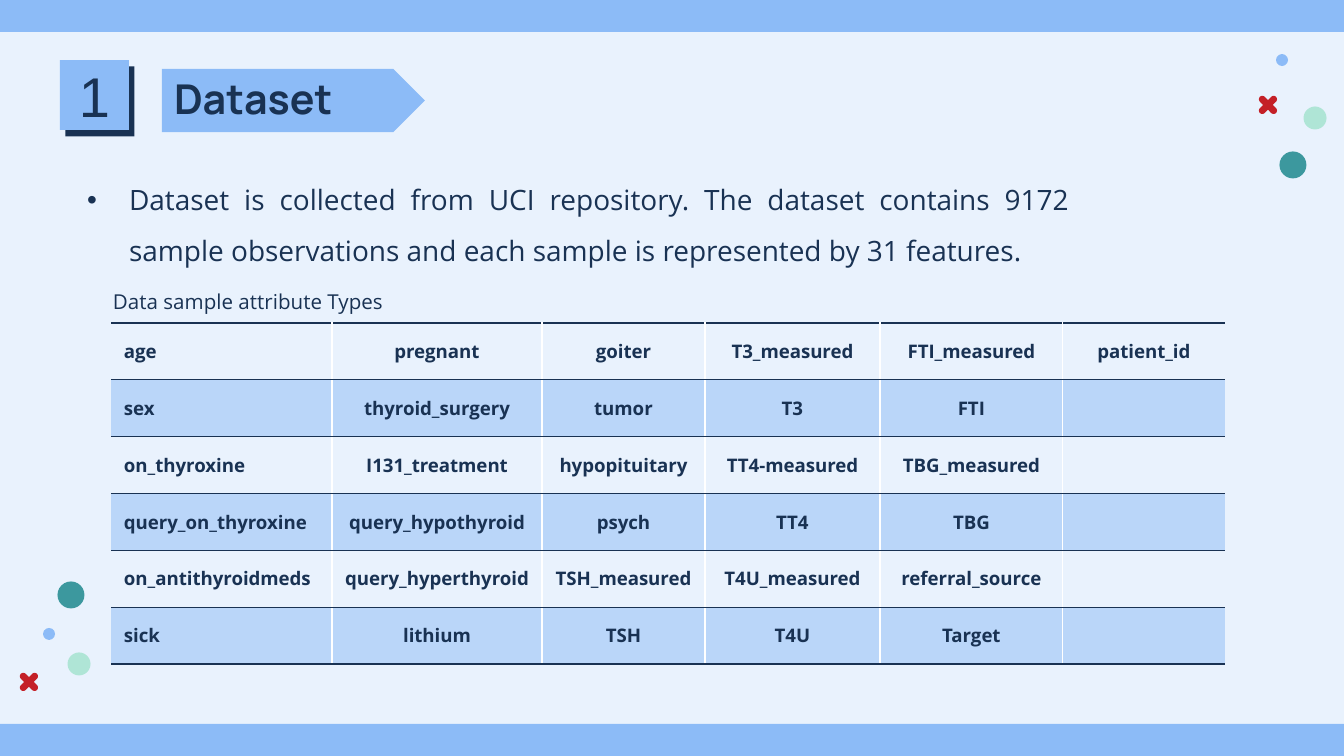
"""Builds the slide on the thyroid dataset and its attribute table."""
import math

import pptx
import pptx.dml.color
import pptx.enum.shapes
import pptx.enum.text
import pptx.oxml
import pptx.oxml.ns
import pptx.util

RGBColor = pptx.dml.color.RGBColor
NAVY = RGBColor(0x19, 0x32, 0x53)
BLUE = RGBColor(0x8C, 0xBB, 0xF7)
PALE = RGBColor(0xE9, 0xF2, 0xFD)
MINT = RGBColor(0xAF, 0xE5, 0xD6)
TEAL = RGBColor(0x3C, 0x98, 0x9E)
RED = RGBColor(0xC4, 0x20, 0x27)
WHITE = RGBColor(0xFF, 0xFF, 0xFF)

SHAPE = pptx.enum.shapes.MSO_SHAPE
ALIGN = pptx.enum.text.PP_ALIGN
ANCHOR = pptx.enum.text.MSO_ANCHOR
NAMESPACE = pptx.oxml.ns.nsdecls("a")

EMU_PER_PX = 914400 / 134.4
WIDTH, HEIGHT, BAND = 1344, 756, 32
INSET = 13

DOTS = [
    (1315, 118, 23, MINT), (1282, 60, 12, BLUE), (1293, 165, 27, TEAL),
    (79, 664, 23, MINT), (49, 634, 12, BLUE), (71, 595, 27, TEAL),
]
CROSSES = [(1268, 105), (29, 682)]
COLUMN_WIDTHS = [221, 210, 163, 175, 183, 162]
ATTRIBUTES = [
    ["age", "pregnant", "goiter", "T3_measured", "FTI_measured", "patient_id"],
    ["sex", "thyroid_surgery", "tumor", "T3", "FTI", ""],
    ["on_thyroxine", "I131_treatment", "hypopituitary", "TT4-measured", "TBG_measured", ""],
    ["query_on_thyroxine", "query_hypothyroid", "psych", "TT4", "TBG", ""],
    ["on_antithyroidmeds", "query_hyperthyroid", "TSH_measured", "T4U_measured",
     "referral_source", ""],
    ["sick", "lithium", "TSH", "T4U", "Target", ""],
]


def px(length):
    """Turn a length in px into EMU."""
    return pptx.util.Emu(round(length * EMU_PER_PX))


def place(shape, left, top, width, height):
    """Move and size a shape."""
    shape.left, shape.top = px(left), px(top)
    shape.width, shape.height = px(width), px(height)


def write(frame, text, size, font="Open Sans", bold=False, align=ALIGN.LEFT,
          anchor=ANCHOR.TOP, inset=INSET, spacing=1.0):
    """Fill a text frame with one formatted paragraph and return it."""
    frame.word_wrap = True
    frame.auto_size = pptx.enum.text.MSO_AUTO_SIZE.NONE
    frame.vertical_anchor = anchor
    frame.margin_left = frame.margin_right = px(inset)
    frame.margin_top = frame.margin_bottom = px(inset)
    paragraph = frame.paragraphs[0]
    style_paragraph(paragraph, text, size, font, bold, align)
    paragraph.line_spacing = spacing
    paragraph.space_before = pptx.util.Pt(0)
    return paragraph


def style_paragraph(paragraph, text, size, font, bold, align):
    """Put one run of formatted text into a paragraph."""
    paragraph.alignment = align
    run = paragraph.add_run()
    run.text = text
    run.font.size = pptx.util.Pt(size)
    run.font.name = font
    run.font.bold = bold
    run.font.color.rgb = NAVY


def paint(shape, color):
    """Give a shape a plain fill without line or shadow."""
    shape.shadow.inherit = False
    shape.fill.solid()
    shape.fill.fore_color.rgb = color
    shape.line.fill.background()
    return shape


def add_block(slide, kind, left, top, width, height, color):
    """Add a plain preset shape."""
    shape = slide.shapes.add_shape(kind, px(left), px(top), px(width), px(height))
    return paint(shape, color)


def add_cross(slide, center_x, center_y, reach=8, radius=3.4):
    """Add a diagonal cross with rounded arms."""
    points = []
    for arm in range(45, 360, 90):
        tip = math.radians(arm)
        for step in range(-90, 91, 15):
            turn = math.radians(arm + step)
            points.append((reach * math.cos(tip) + radius * math.cos(turn),
                           reach * math.sin(tip) + radius * math.sin(turn)))
        notch = math.radians(arm + 45)
        points.append((radius * math.sqrt(2) * math.cos(notch),
                       radius * math.sqrt(2) * math.sin(notch)))
    outline = [(px(center_x + x), px(center_y + y)) for x, y in points]
    builder = slide.shapes.build_freeform(*outline[0])
    builder.add_line_segments(outline[1:], close=True)
    paint(builder.convert_to_shape(), RED)


def add_number(slide, text):
    """Add the section number with its hard offset shadow."""
    shape = add_block(slide, SHAPE.RECTANGLE, 60, 60, 69, 70, BLUE)
    write(shape.text_frame, text, 30, font="Arial", align=ALIGN.CENTER, anchor=ANCHOR.MIDDLE)
    effects = shape.element.spPr.find(pptx.oxml.ns.qn("a:effectLst"))
    effects.append(pptx.oxml.parse_xml(
        f'<a:outerShdw {NAMESPACE} blurRad="0" dist="57150" dir="3000000" algn="bl" '
        f'rotWithShape="0"><a:srgbClr val="{NAVY}"/></a:outerShdw>'))


def set_border(cell, side, color):
    """Draw one cell border, or none when there is no color."""
    fill = f'<a:solidFill><a:srgbClr val="{color}"/></a:solidFill>' if color else "<a:noFill/>"
    cell._tc.get_or_add_tcPr().append(pptx.oxml.parse_xml(
        f'<a:ln{side} {NAMESPACE} w="9525">{fill}</a:ln{side}>'))


def fill_cell(cell, shaded):
    """Shade a cell half transparently or leave it clear."""
    if not shaded:
        cell.fill.background()
        return
    cell.fill.solid()
    cell.fill.fore_color.rgb = BLUE
    color = cell._tc.tcPr.find(pptx.oxml.ns.qn("a:solidFill"))[0]
    color.append(pptx.oxml.parse_xml(f'<a:alpha {NAMESPACE} val="50000"/>'))


def add_attribute_table(slide):
    """Add the table of attributes with every second row shaded."""
    rows, columns = len(ATTRIBUTES), len(COLUMN_WIDTHS)
    table = slide.shapes.add_table(rows, columns, px(111), px(323),
                                   px(sum(COLUMN_WIDTHS)), px(341)).table
    table.first_row = table.horz_banding = False
    for column, width in zip(table.columns, COLUMN_WIDTHS):
        column.width = px(width)
    for row, names in enumerate(ATTRIBUTES):
        for column, name in enumerate(names):
            cell = table.cell(row, column)
            first, last = column == 0, column == columns - 1
            cell.margin_top = cell.margin_bottom = 0
            cell.margin_left = cell.margin_right = px(INSET if first else 0)
            cell.vertical_anchor = ANCHOR.MIDDLE
            if name:
                style_paragraph(cell.text_frame.paragraphs[0], name, 10, "Open Sans", True,
                                ALIGN.LEFT if first else ALIGN.CENTER)
            set_border(cell, "L", None if first else WHITE)
            set_border(cell, "R", None if last else WHITE)
            set_border(cell, "T", NAVY)
            set_border(cell, "B", NAVY)
            fill_cell(cell, row % 2 == 1)


def add_heading(slide, text):
    """Set the title on its arrow-shaped plate."""
    title = slide.shapes.title
    place(title, 161, 60, 1044, 71)
    write(title.text_frame, text, 22, font="Manrope", bold=True)
    plate = add_block(slide, SHAPE.PENTAGON, 162, 69, 263, 63, BLUE)
    title.element.addprevious(plate.element)


def add_bullet(slide, text):
    """Set the body as one justified bullet."""
    body = slide.placeholders[1]
    place(body, 74, 153, 1009, 129)
    paragraph = write(body.text_frame, text, 15, align=ALIGN.JUSTIFY, spacing=1.5)
    properties = paragraph._p.get_or_add_pPr()
    properties.set("marL", str(px(42)))
    properties.set("indent", str(px(-42)))
    properties.append(pptx.oxml.parse_xml(f'<a:buChar {NAMESPACE} char="•"/>'))


def add_caption(slide, text):
    """Add the caption above the table."""
    box = slide.shapes.add_textbox(px(100), px(276), px(392), px(48))
    write(box.text_frame, text, 11)


def main():
    """Build and save the slide."""
    presentation = pptx.Presentation()
    presentation.slide_width, presentation.slide_height = px(WIDTH), px(HEIGHT)
    slide = presentation.slides.add_slide(presentation.slide_layouts[1])
    slide.background.fill.solid()
    slide.background.fill.fore_color.rgb = PALE
    for top in (0, HEIGHT - BAND):
        add_block(slide, SHAPE.RECTANGLE, 0, top, WIDTH, BAND, BLUE)
    for x, y, size, color in DOTS:
        add_block(slide, SHAPE.OVAL, x - size / 2, y - size / 2, size, size, color)
    for x, y in CROSSES:
        add_cross(slide, x, y)
    add_heading(slide, "Dataset")
    add_bullet(slide, "Dataset is collected from UCI repository. The dataset contains 9172 "
                      "sample observations and each sample is represented by 31 features.")
    add_attribute_table(slide)
    add_caption(slide, "Data sample attribute Types")
    add_number(slide, "1")
    presentation.save("out.pptx")


if __name__ == "__main__":
    main()
